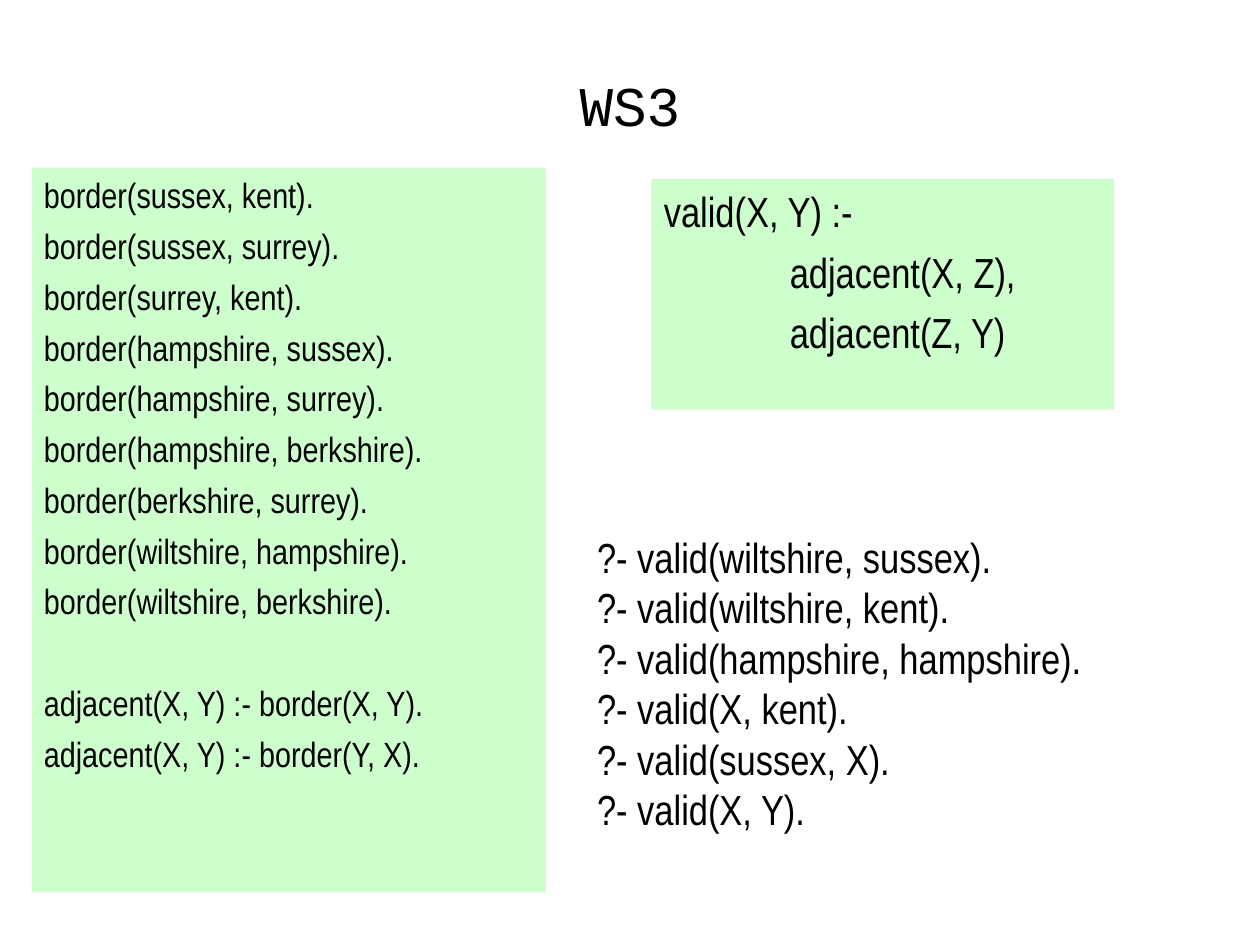
from pptx import Presentation
from pptx.dml.color import RGBColor
from pptx.enum.shapes import MSO_SHAPE
from pptx.enum.text import MSO_ANCHOR, PP_ALIGN
from pptx.oxml.ns import qn
from pptx.util import Inches, Pt
from lxml import etree

BLACK = RGBColor(0x00, 0x00, 0x00)
WHITE = RGBColor(0xFF, 0xFF, 0xFF)
PALE_GREEN = RGBColor(0xCC, 0xFF, 0xCC)
RECTANGLE = MSO_SHAPE.RECTANGLE
TOP, MIDDLE = MSO_ANCHOR.TOP, MSO_ANCHOR.MIDDLE
LEFT, CENTER = PP_ALIGN.LEFT, PP_ALIGN.CENTER
TITLE_ONLY = 5

BORDERS = [
    ("sussex", "kent"),
    ("sussex", "surrey"),
    ("surrey", "kent"),
    ("hampshire", "sussex"),
    ("hampshire", "surrey"),
    ("hampshire", "berkshire"),
    ("berkshire", "surrey"),
    ("wiltshire", "hampshire"),
    ("wiltshire", "berkshire"),
]
ADJACENT_RULES = [
    "adjacent(X, Y) :- border(X, Y).",
    "adjacent(X, Y) :- border(Y, X).",
]
VALID_RULE = ["valid(X, Y) :-", "\tadjacent(X, Z),", "\tadjacent(Z, Y)"]
QUERIES = [
    ("wiltshire", "sussex"),
    ("wiltshire", "kent"),
    ("hampshire", "hampshire"),
    ("X", "kent"),
    ("sussex", "X"),
    ("X", "Y"),
]


class SlideBuilder:
    title_font = "Courier New"
    body_font = "Arial Narrow"

    def __init__(self, prs):
        self.s = prs.slides.add_slide(prs.slide_layouts[TITLE_ONLY])
        self.s.background.fill.solid()
        self.s.background.fill.fore_color.rgb = WHITE

    def add_run(self, p, text, font, size):
        r = p.add_run()
        r.text = text
        r.font.name = font
        r.font.size = Pt(size)
        r.font.color.rgb = BLACK

    def set_tab(self, p, position):
        tabs = etree.SubElement(p._p.get_or_add_pPr(), qn("a:tabLst"))
        etree.SubElement(tabs, qn("a:tab"), pos=str(position), algn="l")

    def write_lines(self, tf, lines, size, gap=0):
        tf.word_wrap = True
        tf.vertical_anchor = TOP
        for i, line in enumerate(lines):
            p = tf.add_paragraph() if i else tf.paragraphs[0]
            p.alignment = LEFT
            if i and gap:
                p.space_before = Pt(gap)
            if "\t" in line:
                self.set_tab(p, Inches(1))
            self.add_run(p, line, self.body_font, size)

    def title(self, text, x, y, w, h):
        sp = self.s.shapes.title
        sp.left, sp.top, sp.width, sp.height = map(Inches, (x, y, w, h))
        tf = sp.text_frame
        tf.vertical_anchor = MIDDLE
        p = tf.paragraphs[0]
        p.alignment = CENTER
        self.add_run(p, text, self.title_font, 32)

    def code_panel(self, lines, x, y, w, h, size, gap):
        sp = self.s.shapes.add_shape(RECTANGLE, *map(Inches, (x, y, w, h)))
        sp.shadow.inherit = False
        sp.fill.solid()
        sp.fill.fore_color.rgb = PALE_GREEN
        sp.line.fill.background()
        self.write_lines(sp.text_frame, lines, size, gap)
        return sp

    def text_box(self, lines, x, y, w, h, size):
        sp = self.s.shapes.add_textbox(*map(Inches, (x, y, w, h)))
        self.write_lines(sp.text_frame, lines, size)


def main():
    prs = Presentation()
    prs.slide_width, prs.slide_height = Inches(10), Inches(7.5)
    slide = SlideBuilder(prs)

    # Title
    slide.title("WS3", 0.75, 0.33, 8.5, 1)

    # Border facts, then the adjacency rules one line further down
    facts = [f"border({a}, {b})." for a, b in BORDERS]
    panel = slide.code_panel(facts + ADJACENT_RULES,
                             0.25, 1.33, 4.08, 5.75, size=20, gap=5)
    panel.text_frame.paragraphs[len(facts)].space_before = Pt(34)

    # Queries
    queries = [f"?- valid({a}, {b})." for a, b in QUERIES]
    slide.text_box(queries, 4.64, 4.17, 5.11, 2.5, size=24)

    # Rule for valid
    slide.code_panel(VALID_RULE, 5.17, 1.42, 3.67, 1.83, size=24, gap=6)

    prs.save("out.pptx")


if __name__ == "__main__":
    main()
